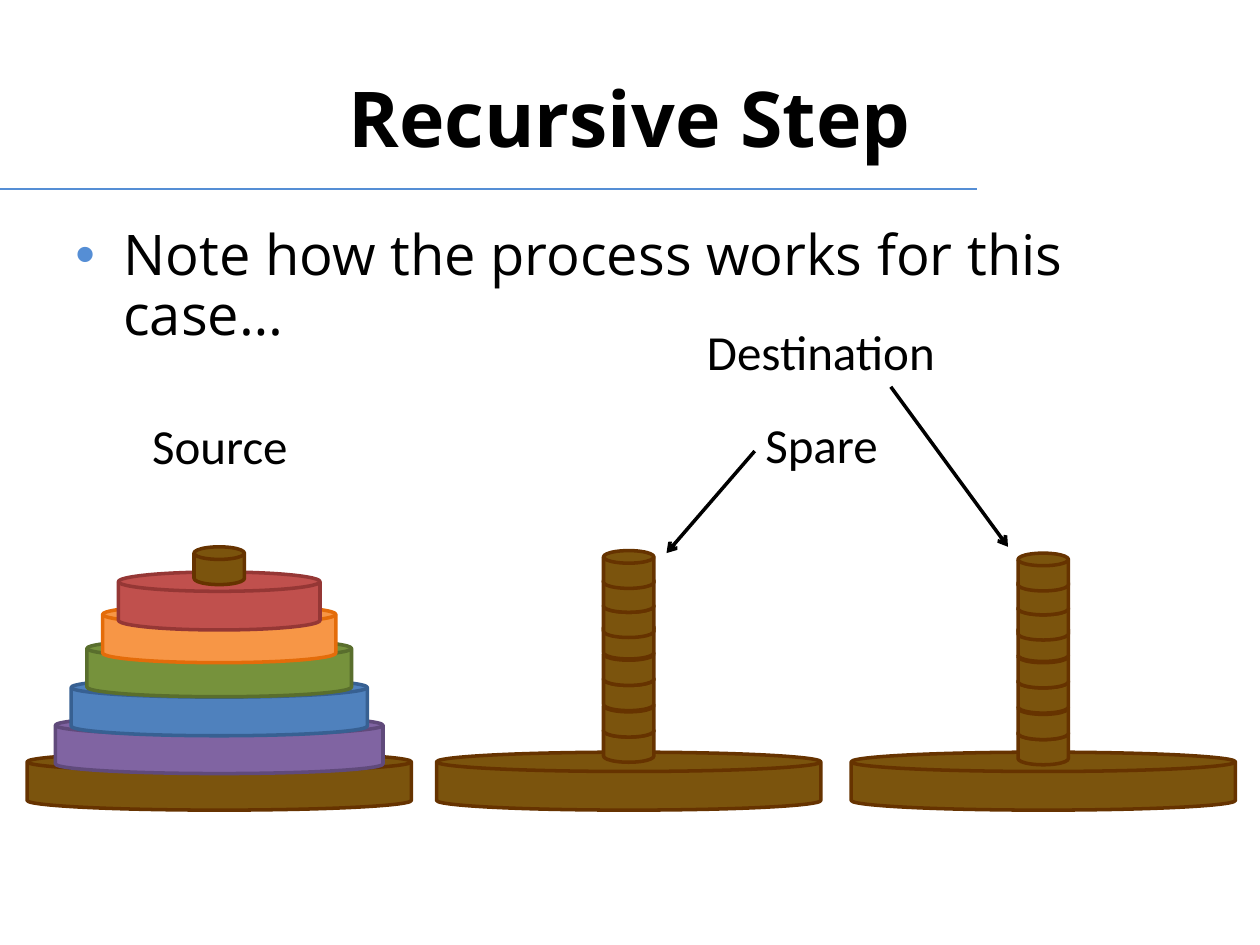
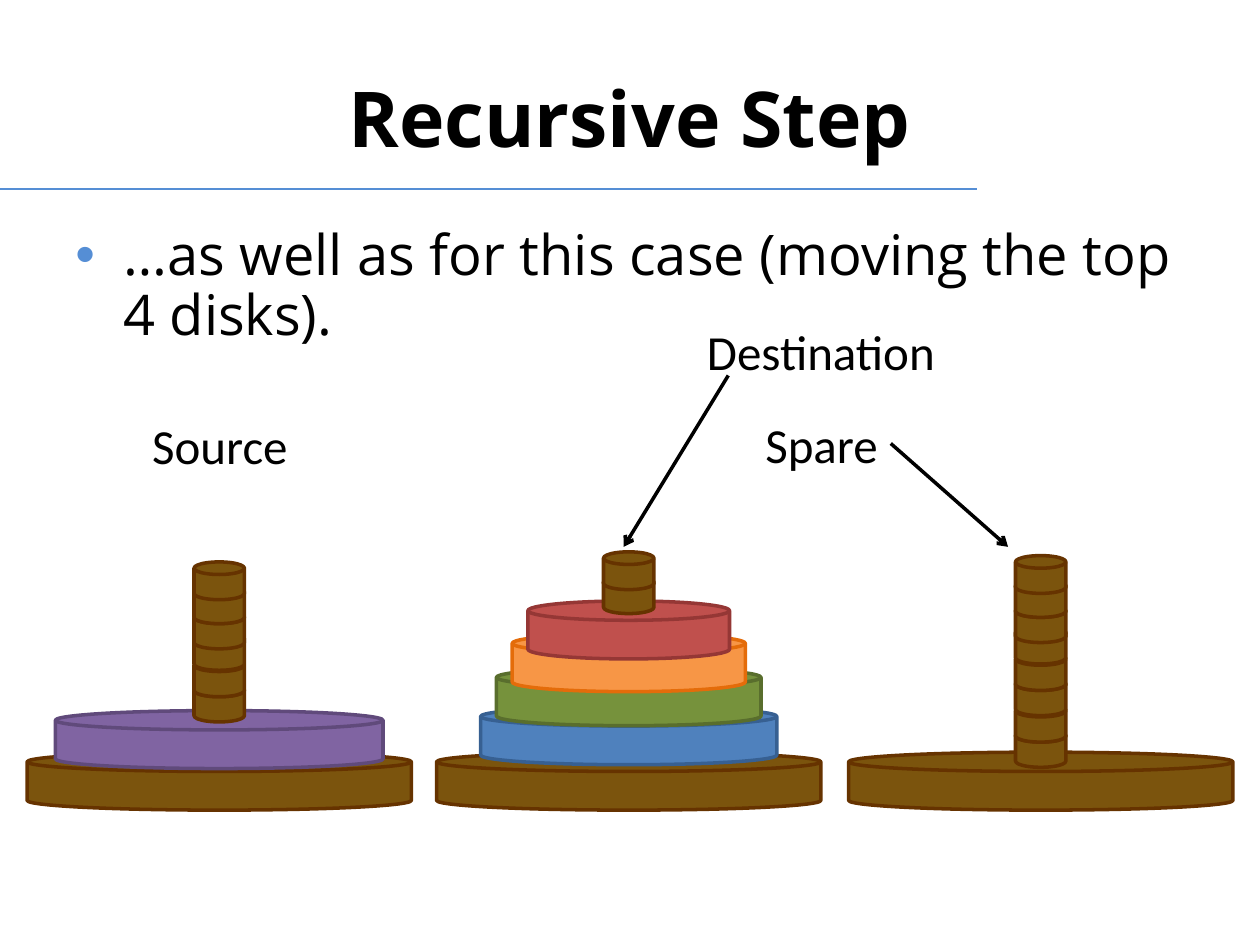
from collections import namedtuple
from dataclasses import dataclass

from lxml import etree
from pptx import Presentation
from pptx.dml.color import RGBColor
from pptx.enum.shapes import MSO_CONNECTOR, MSO_SHAPE
from pptx.enum.text import MSO_ANCHOR, MSO_AUTO_SIZE, PP_ALIGN
from pptx.oxml.ns import qn
from pptx.util import Inches, Pt

DISK = MSO_SHAPE.FLOWCHART_MAGNETIC_DISK
STRAIGHT = MSO_CONNECTOR.STRAIGHT
TOP, MIDDLE = MSO_ANCHOR.TOP, MSO_ANCHOR.MIDDLE
LEFT, CENTER = PP_ALIGN.LEFT, PP_ALIGN.CENTER
FIT_SHAPE = MSO_AUTO_SIZE.SHAPE_TO_FIT_TEXT

Box = namedtuple("Box", "left top width height")
Paint = namedtuple("Paint", "fill line")
Ring = namedtuple("Ring", "width rise paint")
Tower = namedtuple("Tower", "center peak rungs floor rings", defaults=(0, ()))


@dataclass(frozen=True)
class Theme:
    ink: str = "000000"
    accent: str = "558ED5"
    wood: Paint = Paint("7B540D", "663300")
    heading_font: str = "Open Sans"
    label_font: str = "Calibri"
    title_size: int = 44
    body_size: int = 32
    label_size: int = 28
    outline: float = 2
    rule: float = 0.75


THEME = Theme()

TITLE_BOX = Box(0.5, 0.3, 9, 1.25)
BODY_BOX = Box(0.5, 1.75, 9, 4.95)
LABELS = {
    "Destination": Box(5.5, 2.5, 2.03, 0.57),
    "Spare": Box(5.97, 3.24, 1.1, 0.57),
    "Source": Box(1.1, 3.25, 1.29, 0.57),
}

BASE_TOP, BASE_WIDTH, RING_HEIGHT = 5.97, 3.05, 0.46
RUNG_WIDTH, RUNG_HEIGHT = 0.4, 0.3
RUNG_DROPS = (0, 0.19, 0.39, 0.56, 0.77, 0.97, 1.18, 1.38)

PURPLE = Ring(2.6, 0, Paint("8064A2", "604A7B"))
SMALLER_RINGS = (
    Ring(2.35, 0.3, Paint("4F81BD", "376092")),
    Ring(2.1, 0.61, Paint("76923C", "596E2D")),
    Ring(1.85, 0.88, Paint("F79646", "E46C0A")),
    Ring(1.6, 1.14, Paint("C0504D", "953735")),
)

STEPS = (
    {
        "note": "Note how the process works for this case…",
        "towers": (
            Tower(1.74, 4.34, 1, 5.68, (PURPLE, *SMALLER_RINGS)),
            Tower(4.99, 4.37, 8),
            Tower(8.28, 4.39, 8),
        ),
        "arrows": (((7.07, 3.07), (8, 4.34)), ((5.99, 3.58), (5.29, 4.39))),
    },
    {
        "note": "…as well as for this case (moving the top 4 disks).",
        "towers": (
            Tower(1.74, 4.46, 6, 5.64, (PURPLE,)),
            Tower(4.99, 4.38, 2, 5.91, SMALLER_RINGS),
            Tower(8.26, 4.41, 8),
        ),
        "arrows": (((7.07, 3.52), (8, 4.34)), ((5.78, 2.98), (4.95, 4.34))),
    },
)


def color(value):
    return RGBColor.from_string(value)


def inches(values):
    return [Inches(value) for value in values]


def add_bullet(para):
    props = para._p.get_or_add_pPr()
    props.set("marL", str(Inches(0.38)))
    props.set("indent", str(-Inches(0.38)))
    tint = etree.SubElement(props, qn("a:buClr"))
    etree.SubElement(tint, qn("a:srgbClr"), val=THEME.accent)
    etree.SubElement(props, qn("a:buFont"), typeface="Arial")
    etree.SubElement(props, qn("a:buChar"), char="•")


def add_text(page, box, text, *, font, size, bold=False, align=LEFT,
             anchor=TOP, wrap=True, bullet=False):
    frame = page.shapes.add_textbox(*inches(box)).text_frame
    frame.word_wrap = wrap
    frame.vertical_anchor = anchor
    if not wrap:
        frame.auto_size = FIT_SHAPE
    para = frame.paragraphs[0]
    para.alignment = align
    if bullet:
        para.line_spacing = 0.9
        para.space_before = Pt(2)
        add_bullet(para)
    span = para.add_run()
    span.text = text
    span.font.name = font
    span.font.size = Pt(size)
    span.font.bold = bold
    span.font.color.rgb = color(THEME.ink)


def add_line(page, start, end, *, tint, width, arrow=False):
    line = page.shapes.add_connector(STRAIGHT, *inches((*start, *end)))
    line.line.color.rgb = color(tint)
    line.line.width = Pt(width)
    props = line.element.spPr
    if arrow:
        etree.SubElement(props.find(qn("a:ln")), qn("a:tailEnd"), type="arrow")
    etree.SubElement(props, qn("a:effectLst"))


def add_disk(page, box, paint):
    disk = page.shapes.add_shape(DISK, *inches(box))
    disk.shadow.inherit = False
    disk.fill.solid()
    disk.fill.fore_color.rgb = color(paint.fill)
    disk.line.color.rgb = color(paint.line)
    disk.line.width = Pt(THEME.outline)


def centered_box(center, top, width, height):
    return Box(center - width / 2, top, width, height)


def add_tower(page, tower):
    base = centered_box(tower.center, BASE_TOP, BASE_WIDTH, RING_HEIGHT)
    add_disk(page, base, THEME.wood)
    for ring in tower.rings:
        box = centered_box(tower.center, tower.floor - ring.rise,
                           ring.width, RING_HEIGHT)
        add_disk(page, box, ring.paint)
    for drop in reversed(RUNG_DROPS[:tower.rungs]):
        box = centered_box(tower.center, tower.peak + drop,
                           RUNG_WIDTH, RUNG_HEIGHT)
        add_disk(page, box, THEME.wood)


def add_heading(page, box, text):
    add_line(page, (0, 1.5), (7.75, 1.5), tint=THEME.accent, width=THEME.rule)
    add_text(page, box, text, font=THEME.heading_font, size=THEME.title_size,
             bold=True, align=CENTER, anchor=MIDDLE)


def add_labels(page, labels, arrows):
    for text, box in labels.items():
        add_text(page, box, text, font=THEME.label_font,
                 size=THEME.label_size, align=CENTER, wrap=False)
    for start, end in arrows:
        add_line(page, start, end, tint=THEME.ink, width=THEME.outline,
                 arrow=True)


def add_step(deck, note, towers, arrows):
    page = deck.slides.add_slide(deck.slide_layouts[6])
    add_heading(page, TITLE_BOX, "Recursive Step")
    add_text(page, BODY_BOX, note, font=THEME.heading_font,
             size=THEME.body_size, bullet=True)
    for tower in towers:
        add_tower(page, tower)
    add_labels(page, LABELS, arrows)


deck = Presentation()
deck.slide_width, deck.slide_height = inches((10, 7.5))
for step in STEPS:
    add_step(deck, **step)
deck.save("out.pptx")
